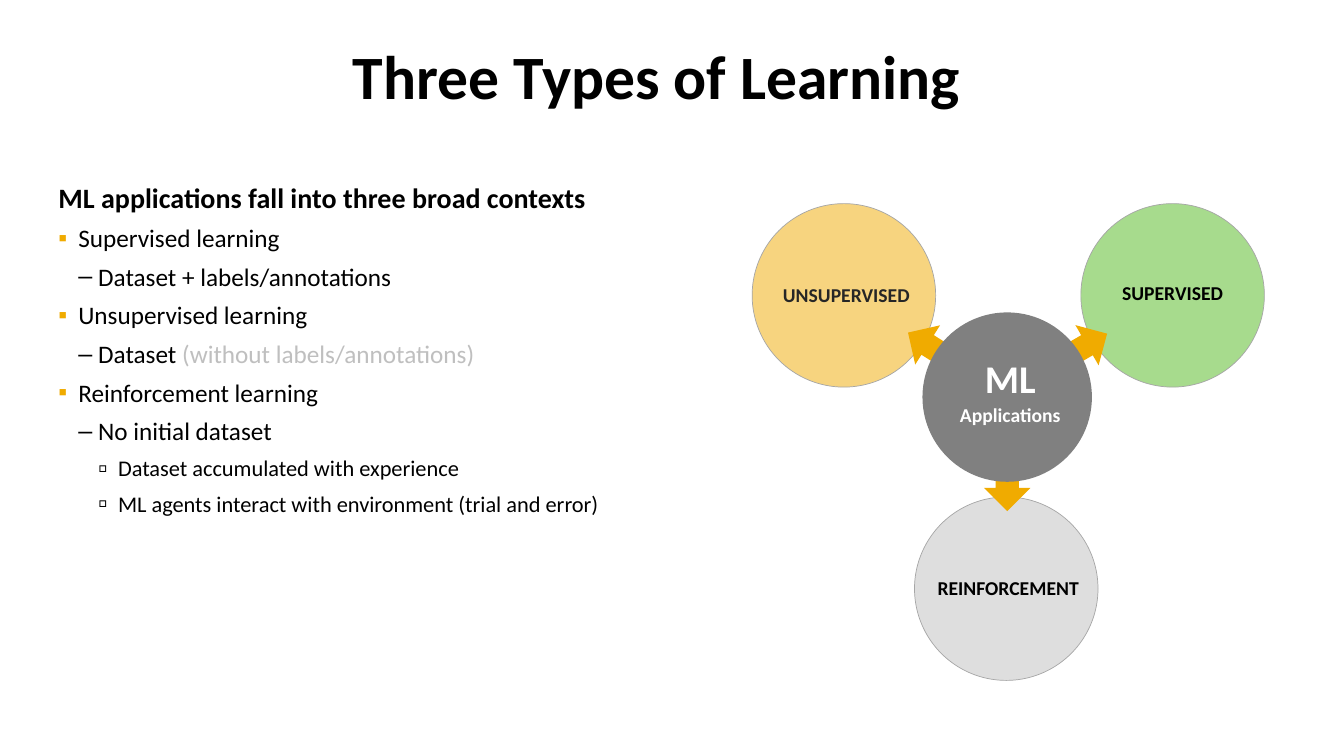
"""Build the slide on the three types of machine learning."""
from lxml import etree
from pptx import Presentation
from pptx.dml.color import RGBColor
from pptx.enum.shapes import MSO_SHAPE
from pptx.enum.text import MSO_ANCHOR, PP_ALIGN
from pptx.oxml.ns import qn
from pptx.util import Inches, Pt

OVAL, ARROW = MSO_SHAPE.OVAL, MSO_SHAPE.LEFT_ARROW
CENTER, LEFT = PP_ALIGN.CENTER, PP_ALIGN.LEFT
TOP, MIDDLE = MSO_ANCHOR.TOP, MSO_ANCHOR.MIDDLE
BLACK, WHITE = RGBColor(0, 0, 0), RGBColor(255, 255, 255)
CHARCOAL = RGBColor(0x26, 0x26, 0x26)
GRAY = RGBColor(0x80, 0x80, 0x80)
OUTLINE = RGBColor(0xA6, 0xA6, 0xA6)
SILVER = RGBColor(0xBF, 0xBF, 0xBF)
GREEN = RGBColor(0xA7, 0xDB, 0x8D)
AMBER = RGBColor(0xF0, 0xAB, 0x00)

TITLE = "Three Types of Learning"
OUTLINE_TEXT = [
    (0, [("ML applications fall into three broad contexts", BLACK)]),
    (1, [("Supervised learning", BLACK)]),
    (2, [("Dataset + labels/annotations", BLACK)]),
    (1, [("Unsupervised learning", BLACK)]),
    (2, [("Dataset ", BLACK), ("(without labels/annotations)", SILVER)]),
    (1, [("Reinforcement learning", BLACK)]),
    (2, [("No initial dataset", BLACK)]),
    (3, [("Dataset accumulated with experience", BLACK)]),
    (3, [("ML agents interact with environment (trial and error)", BLACK)]),
]
LEVEL_SIZES = [20, 18, 18, 16]
BULLETS = {1: ("▪", AMBER, 100), 2: ("–", BLACK, 100), 3: ("▫", BLACK, 120)}
INDENT = 0.197

HUB_CENTER, HUB_SIZE = (9.99, 3.94), 1.66
CONTEXT_SIZE, ARROW_SIZE = 1.82, (0.6, 0.46)
CONTEXTS = [
    dict(label="REINFORCEMENT", center=(9.98, 5.84), fill=SILVER, opacity=50,
         ink=BLACK, label_box=(8.98, 5.77, 2.04, 0.2), leading=Pt(13),
         arrow_center=(9.99, 4.77), turn=270),
    dict(label="SUPERVISED", center=(11.63, 2.93), fill=GREEN, opacity=100,
         ink=BLACK, label_box=(10.74, 2.79, 1.78, 0.24), leading=None,
         arrow_center=(10.72, 3.46), turn=150),
    dict(label="UNSUPERVISED", center=(8.37, 2.93), fill=AMBER, opacity=50,
         ink=CHARCOAL, label_box=(7.46, 2.81, 1.87, 0.24), leading=None,
         arrow_center=(9.26, 3.46), turn=32.3),
]


def add_text(slide, box, paragraphs, align=CENTER, anchor=TOP, leading=None, gap=0):
    """Add paragraphs of (level, size, bold, runs) in a text box."""
    frame = slide.shapes.add_textbox(*map(Inches, box)).text_frame
    frame.word_wrap, frame.vertical_anchor = True, anchor
    frame.margin_left = frame.margin_right = frame.margin_top = frame.margin_bottom = 0
    for index, (level, size, bold, runs) in enumerate(paragraphs):
        paragraph = frame.add_paragraph() if index else frame.paragraphs[0]
        paragraph.alignment, paragraph.level = align, level
        paragraph.space_before = paragraph.space_after = Pt(gap)
        if leading:
            paragraph.line_spacing = leading
        for words, ink in runs:
            run = paragraph.add_run()
            run.text = words
            font = run.font
            font.name, font.size, font.bold = "Calibri", Pt(size), bold
            font.color.rgb = ink
        if level:
            add_bullet(paragraph, level)


def add_bullet(paragraph, level):
    """Give a paragraph the bullet and hanging indent of its level."""
    mark, ink, percent = BULLETS[level]
    properties = paragraph._p.get_or_add_pPr()
    properties.set("marL", str(Inches(INDENT * level)))
    properties.set("indent", str(-Inches(INDENT)))
    color = etree.SubElement(properties, qn("a:buClr"))
    etree.SubElement(color, qn("a:srgbClr"), val=str(ink))
    etree.SubElement(properties, qn("a:buSzPct"), val=str(percent * 1000))
    etree.SubElement(properties, qn("a:buFont"), typeface="Arial")
    etree.SubElement(properties, qn("a:buChar"), char=mark)


def add_part(slide, kind, center, size, fill, line=None, weight=0.5, opacity=100, turn=0):
    """Add a filled shape around its centre point."""
    corner = [middle - length / 2 for middle, length in zip(center, size)]
    part = slide.shapes.add_shape(kind, *map(Inches, (*corner, *size)))
    part.shadow.inherit = False
    part.rotation = turn
    part.fill.solid()
    part.fill.fore_color.rgb = fill
    if opacity < 100:
        color = part._element.spPr.find(qn("a:solidFill")).find(qn("a:srgbClr"))
        etree.SubElement(color, qn("a:alpha"), val=str(opacity * 1000))
    if line is None:
        part.line.fill.background()
    else:
        part.line.color.rgb, part.line.width = line, Pt(weight)


def main():
    """Lay out the diagram, the outline and the title."""
    deck = Presentation()
    deck.slide_width, deck.slide_height = Inches(13.33), Inches(7.5)
    slide = deck.slides.add_slide(deck.slide_layouts[6])
    for context in CONTEXTS:
        add_part(slide, OVAL, context["center"], (CONTEXT_SIZE, CONTEXT_SIZE),
                 context["fill"], line=OUTLINE, opacity=context["opacity"])
        add_text(slide, context["label_box"],
                 [(0, 14, True, [(context["label"], context["ink"])])],
                 leading=context["leading"])
        add_part(slide, ARROW, context["arrow_center"], ARROW_SIZE, AMBER,
                 turn=context["turn"])
    add_part(slide, OVAL, HUB_CENTER, (HUB_SIZE, HUB_SIZE), GRAY, line=GRAY, weight=1.5)
    add_text(slide, (9.21, 3.73, 1.62, 0.49),
             [(0, 28, True, [("ML", WHITE)]), (0, 14, True, [("Applications", WHITE)])],
             leading=Pt(18))
    add_text(slide, (0.58, 1.79, 6.08, 3.37),
             [(level, LEVEL_SIZES[level], level == 0, runs) for level, runs in OUTLINE_TEXT],
             align=LEFT, gap=3)
    add_text(slide, (1.35, 0.33, 10.33, 0.92), [(0, 44, True, [(TITLE, BLACK)])],
             anchor=MIDDLE, leading=0.9)
    deck.save("out.pptx")


if __name__ == "__main__":
    main()
